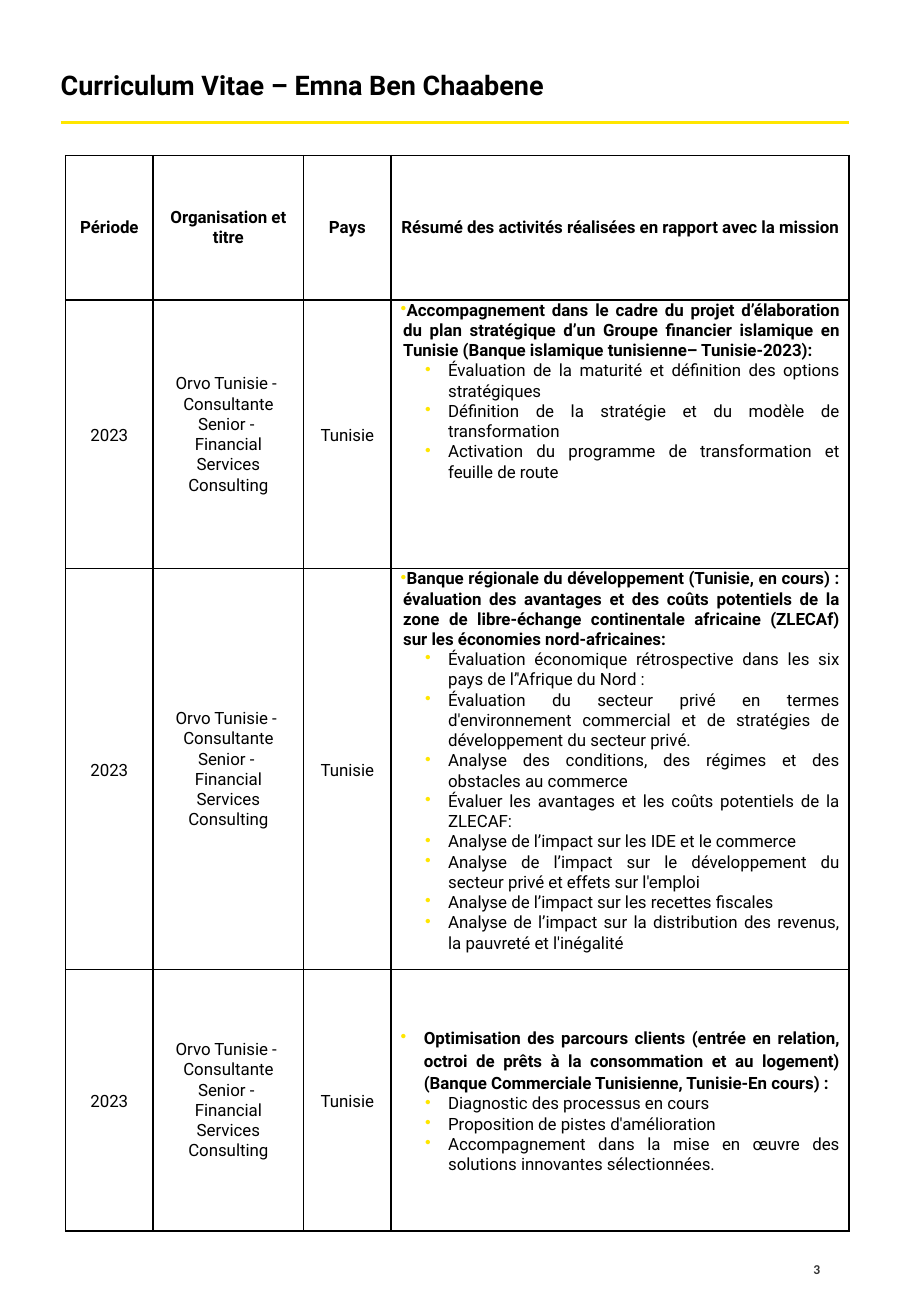
from lxml import etree
from pptx import Presentation
from pptx.dml.color import RGBColor
from pptx.enum.shapes import MSO_CONNECTOR
from pptx.enum.text import MSO_ANCHOR, MSO_AUTO_SIZE, PP_ALIGN
from pptx.oxml.ns import qn
from pptx.util import Inches, Pt

CENTER, LEFT, JUSTIFY = PP_ALIGN.CENTER, PP_ALIGN.LEFT, PP_ALIGN.JUSTIFY
TOP, MIDDLE = MSO_ANCHOR.TOP, MSO_ANCHOR.MIDDLE
NO_FIT = MSO_AUTO_SIZE.NONE
STRAIGHT = MSO_CONNECTOR.STRAIGHT

BLACK, YELLOW, GREY = "000000", "FFE600", "333333"
LINE = Pt(12)
HANG = 0.19

COLUMN_WIDTHS = [0.72, 1.24, 0.72, 3.77]
ROW_HEIGHTS = [1.19, 2.21, 3.3, 2.15]
HEADERS = [
    "Période",
    "Organisation et titre",
    "Pays",
    "Résumé des activités réalisées en rapport avec la mission",
]
POSITION = ["Orvo Tunisie - ", "Consultante Senior - ", "Financial Services Consulting"]

MISSIONS = [
    {
        "heading": "Accompagnement dans le cadre du projet d’élaboration du plan stratégique "
        "d’un Groupe financier islamique en Tunisie (Banque islamique tunisienne– Tunisie-2023):",
        "tasks": [
            "Évaluation de la maturité et définition des options stratégiques",
            "Définition de la stratégie et du modèle de transformation",
            "Activation du programme de transformation et feuille de route",
        ],
        "anchor": TOP, "margin": 0.02, "spacing": LINE,
    },
    {
        "heading": "Banque régionale du développement (Tunisie, en cours) : évaluation des avantages "
        "et des coûts potentiels de la zone de libre-échange continentale africaine (ZLECAf) "
        "sur les économies nord-africaines:",
        "tasks": [
            "Évaluation économique rétrospective dans les six pays de l’'Afrique du Nord :",
            "Évaluation du secteur privé en termes d'environnement commercial et de stratégies "
            "de développement du secteur privé.",
            "Analyse des conditions, des régimes et des obstacles au commerce",
            "Évaluer les avantages et les coûts potentiels de la ZLECAF:",
            "Analyse de l’impact sur les IDE et le commerce",
            "Analyse de l’impact sur le développement du secteur privé et effets sur l'emploi",
            "Analyse de l’impact sur les recettes fiscales",
            "Analyse de l’impact sur la distribution des revenus, la pauvreté et l'inégalité",
        ],
        "anchor": TOP, "margin": 0.02, "spacing": LINE,
    },
    {
        "heading": "Optimisation des parcours clients (entrée en relation, octroi de prêts à la "
        "consommation et au logement) (Banque Commerciale Tunisienne, Tunisie-En cours) :",
        "tasks": [
            "Diagnostic des processus en cours",
            "Proposition de pistes d'amélioration",
            "Accompagnement dans la mise en œuvre des solutions innovantes sélectionnées.",
        ],
        "anchor": MIDDLE, "margin": HANG, "spacing": 1.15,
    },
]


def color(value):
    return RGBColor.from_string(value)


def format_font(para, size=10, bold=False, name="Roboto", fill=BLACK):
    font = para.font
    font.size, font.bold, font.name = Pt(size), bold, name
    font.color.rgb = color(fill)


def clear_margins(frame):
    frame.margin_left = frame.margin_right = frame.margin_top = frame.margin_bottom = 0
    frame.vertical_anchor = MIDDLE
    frame.word_wrap = True
    frame.auto_size = NO_FIT


def add_bullet(para, margin):
    properties = para._p.get_or_add_pPr()
    properties.set("marL", str(Inches(margin)))
    properties.set("indent", str(Inches(-HANG)))
    bullet_color = etree.SubElement(properties, qn("a:buClr"))
    etree.SubElement(bullet_color, qn("a:srgbClr"), val=YELLOW)
    etree.SubElement(properties, qn("a:buChar"), char="•")


def format_cell(cell, side, anchor=MIDDLE):
    cell.margin_left = cell.margin_right = Inches(side)
    cell.margin_top = cell.margin_bottom = 0
    cell.vertical_anchor = anchor
    cell.fill.background()
    properties = cell._tc.get_or_add_tcPr()
    for index, edge in enumerate(["a:lnL", "a:lnR", "a:lnT", "a:lnB"]):
        border = etree.Element(qn(edge), w=str(Pt(1)))
        fill = etree.SubElement(border, qn("a:solidFill"))
        etree.SubElement(fill, qn("a:srgbClr"), val=BLACK)
        properties.insert(index, border)


def fill_centered(cell, lines, side=0.07, bold=False, spacing=LINE, after=0):
    format_cell(cell, side)
    cell.text = "\n".join(lines)
    for para in cell.text_frame.paragraphs:
        para.alignment = CENTER
        para.line_spacing = spacing
        para.space_after = Pt(after)
        format_font(para, bold=bold)


def fill_mission(cell, mission):
    format_cell(cell, 0.08, mission["anchor"])
    cell.text = "\n".join([mission["heading"], *mission["tasks"]])
    for index, para in enumerate(cell.text_frame.paragraphs):
        heading = index == 0
        para.alignment = JUSTIFY
        para.level = 0 if heading else 1
        para.line_spacing = mission["spacing"] if heading else LINE
        format_font(para, bold=heading)
        add_bullet(para, mission["margin"] if heading else 0.39)


def add_header(slide, left, top, width, height):
    title = slide.shapes.title
    title.left, title.top = Inches(left), Inches(top)
    title.width, title.height = Inches(width), Inches(height)
    frame = title.text_frame
    frame.text = "Curriculum Vitae – Emna Ben Chaabene"
    clear_margins(frame)
    para = frame.paragraphs[0]
    para.alignment = LEFT
    para.line_spacing = 0.85
    format_font(para, size=16, bold=True)

    bottom = Inches(top + height - 0.01)
    rule = slide.shapes.add_connector(STRAIGHT, Inches(left), bottom, Inches(left + width), bottom)
    rule.line.color.rgb = color(YELLOW)
    rule.line.width = Pt(1.5)
    etree.SubElement(rule._element.spPr, qn("a:effectLst"))


def add_experience_table(slide, left, top):
    table = slide.shapes.add_table(
        len(ROW_HEIGHTS), len(COLUMN_WIDTHS), Inches(left), Inches(top),
        Inches(sum(COLUMN_WIDTHS)), Inches(sum(ROW_HEIGHTS)),
    ).table
    table.first_row = table.horz_banding = False
    for column, width in zip(table.columns, COLUMN_WIDTHS):
        column.width = Inches(width)
    for row, height in zip(table.rows, ROW_HEIGHTS):
        row.height = Inches(height)

    for column, header in enumerate(HEADERS):
        fill_centered(table.cell(0, column), [header], side=0.02, bold=True)
    for row, mission in enumerate(MISSIONS, start=1):
        fill_centered(table.cell(row, 0), ["2023"], spacing=1.15, after=6)
        fill_centered(table.cell(row, 1), POSITION)
        fill_centered(table.cell(row, 2), ["Tunisie"], spacing=1.15, after=6)
        fill_mission(table.cell(row, 3), mission)


def add_page_number(slide, left, top, width, height):
    box = slide.shapes.add_textbox(Inches(left), Inches(top), Inches(width), Inches(height))
    frame = box.text_frame
    clear_margins(frame)
    para = frame.paragraphs[0]
    para.text = "3"
    para.alignment = CENTER
    format_font(para, size=8, bold=True, name="Calibri", fill=GREY)


def main():
    deck = Presentation()
    deck.slide_width, deck.slide_height = Inches(7.5), Inches(10.83)
    page = deck.slides.add_slide(deck.slide_layouts[5])
    add_header(page, 0.5, 0.42, 6.49, 0.6)
    add_experience_table(page, 0.54, 1.28)
    add_page_number(page, 6.46, 10.38, 0.53, 0.13)
    deck.save("out.pptx")


if __name__ == "__main__":
    main()
